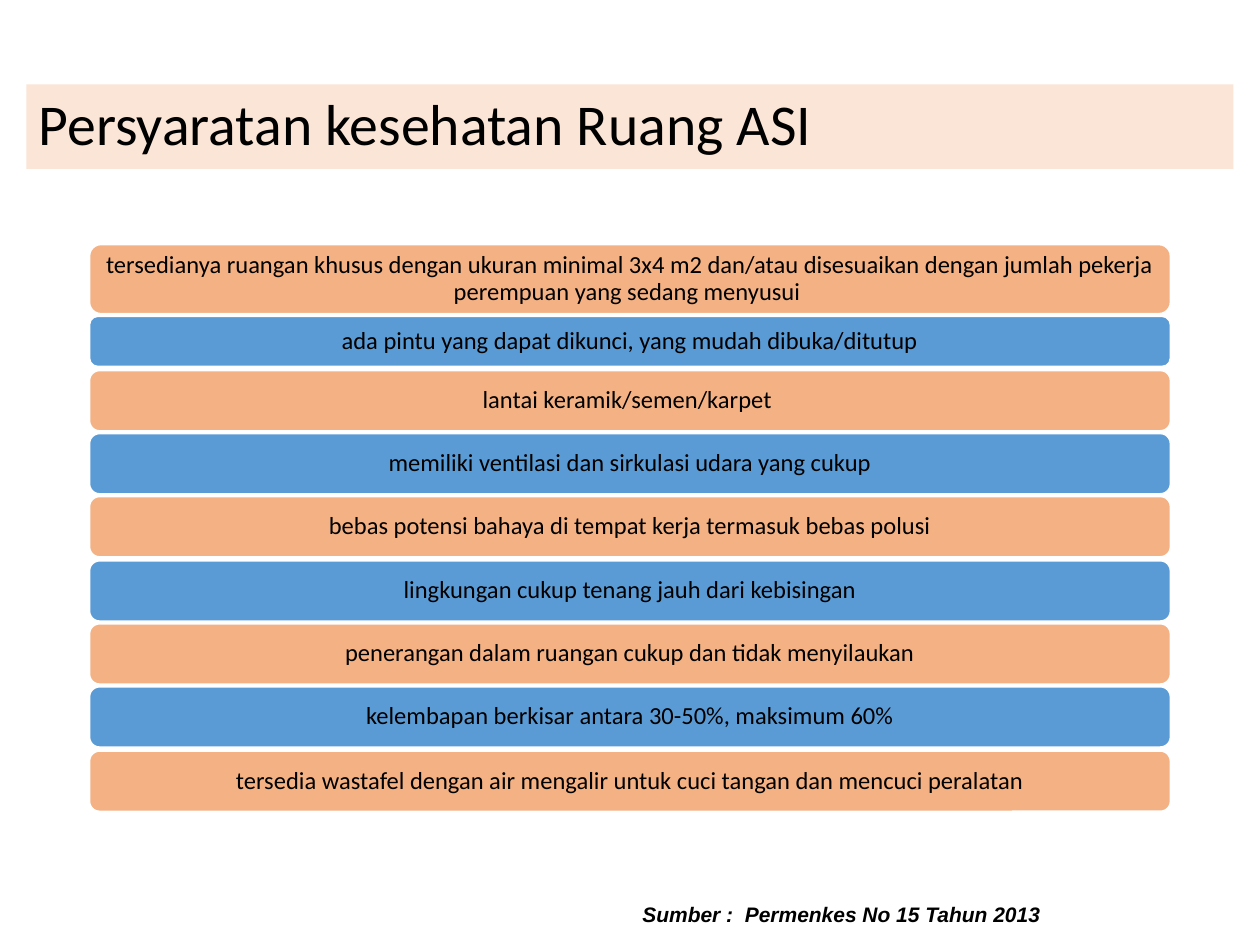
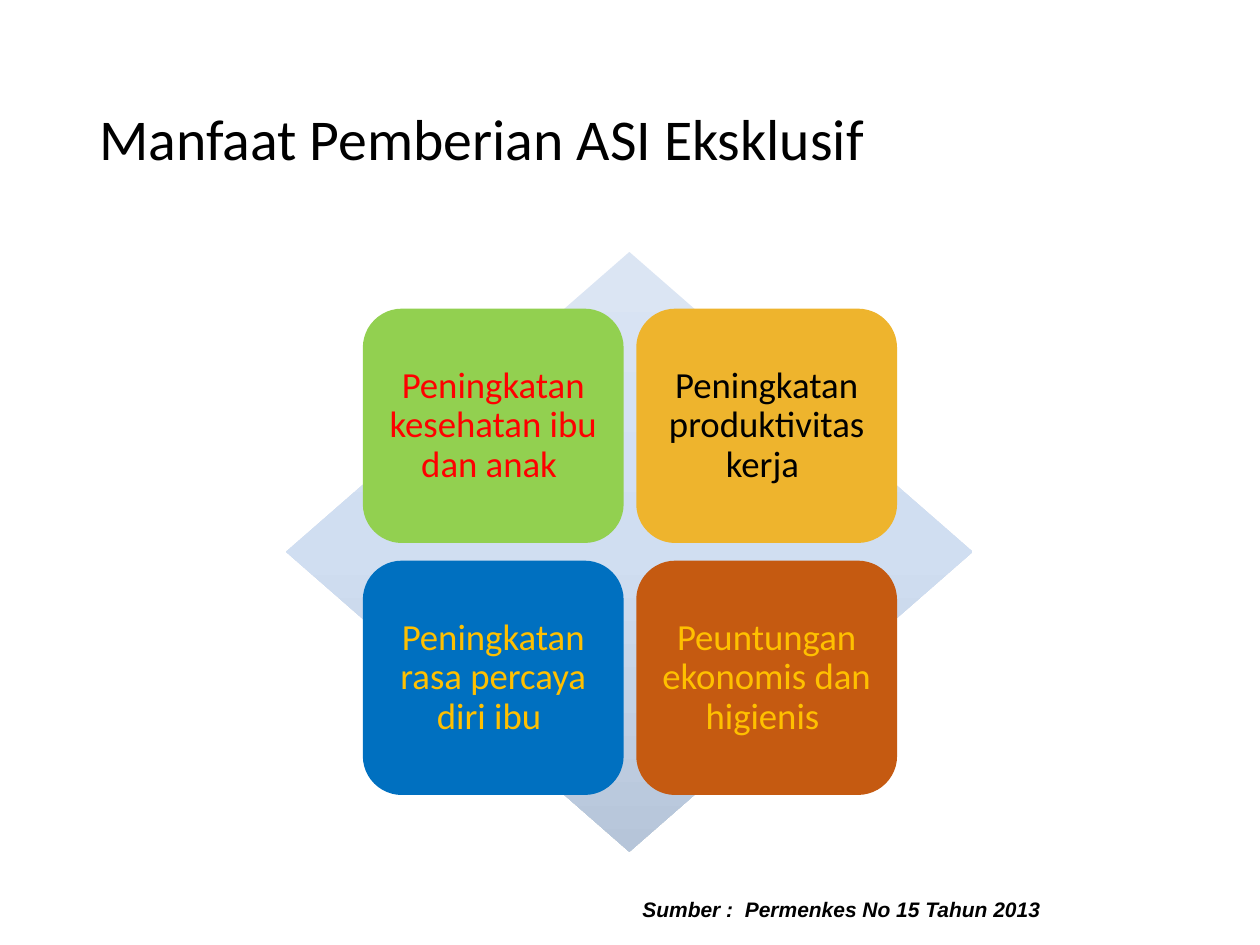
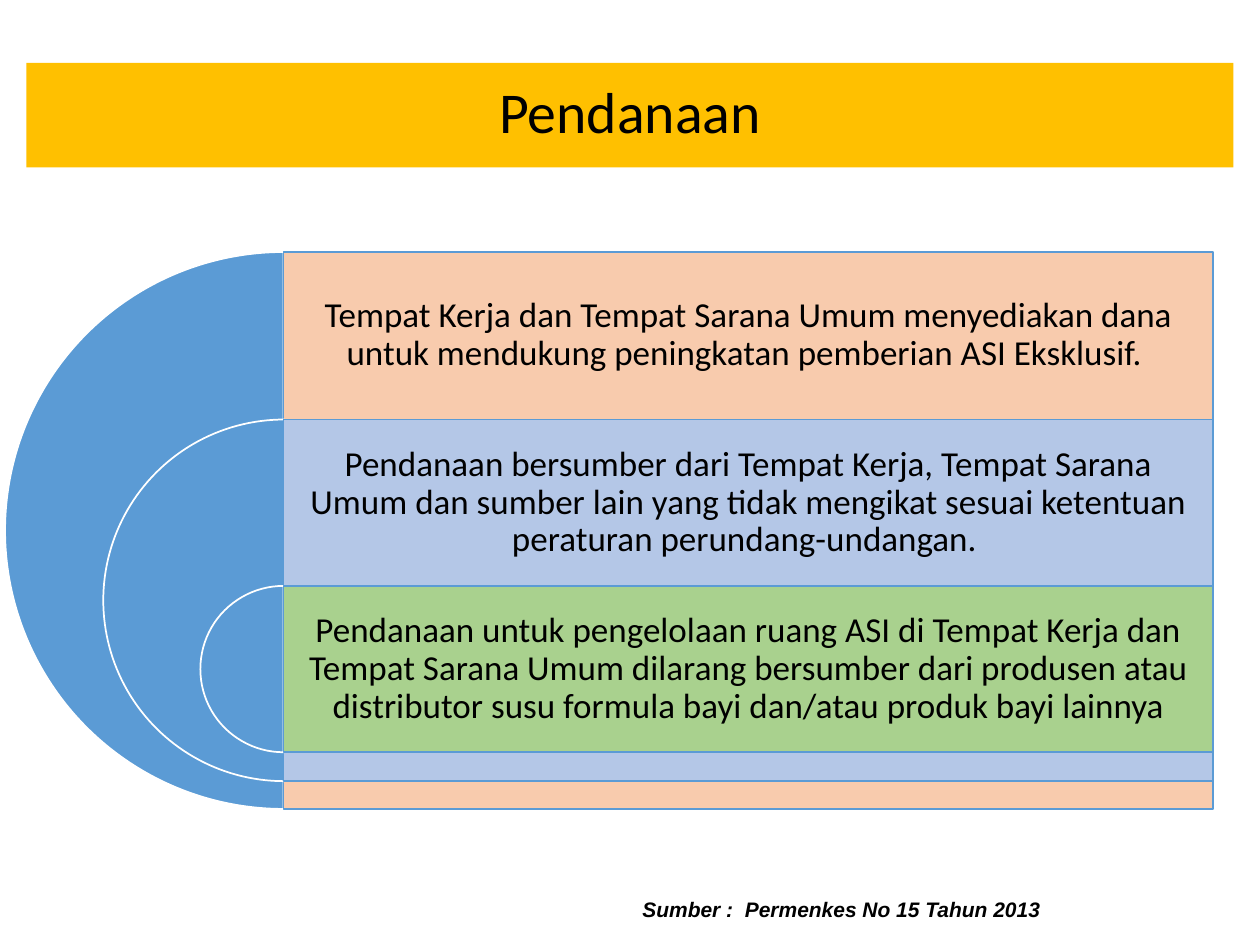
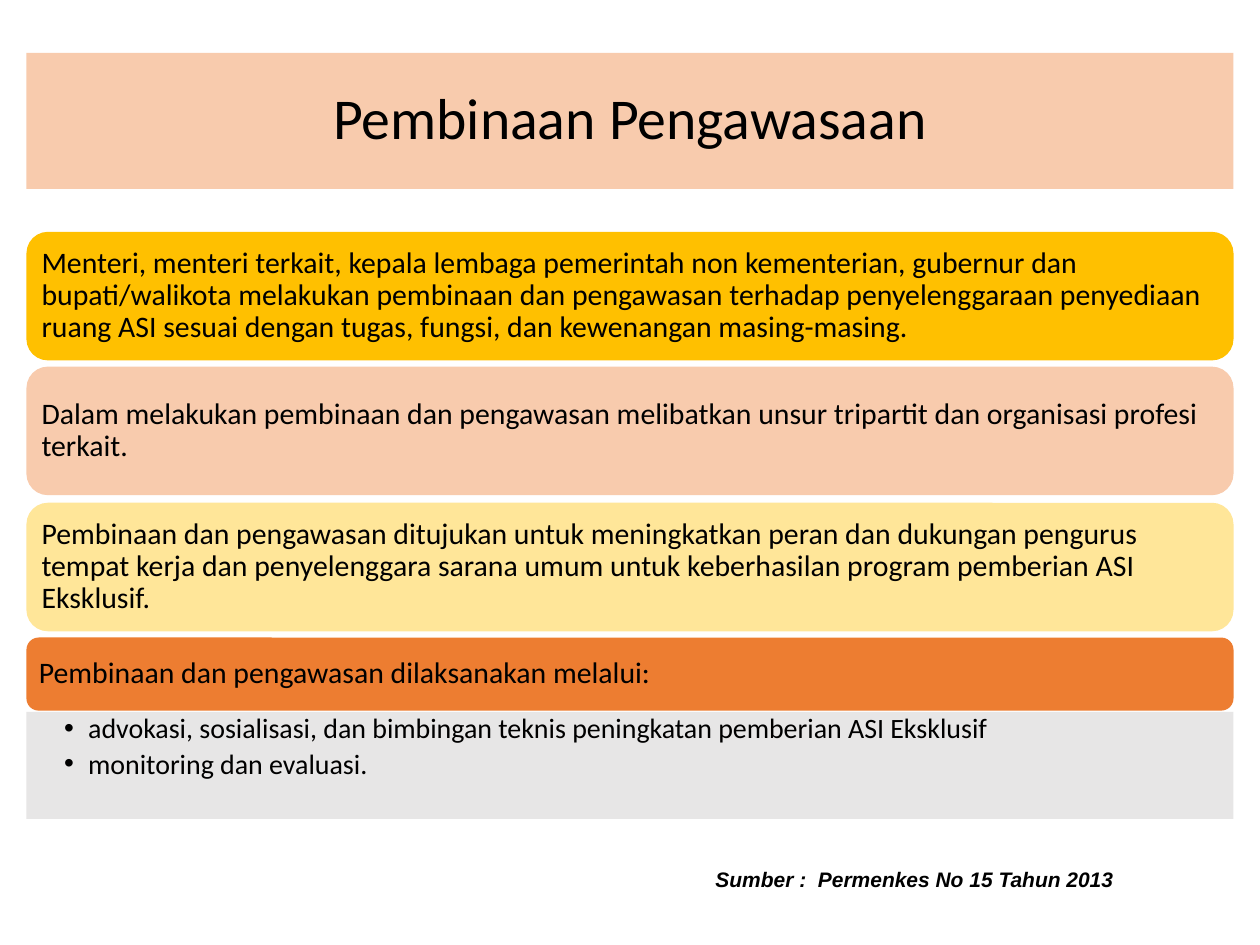
from copy import deepcopy

from lxml.etree import SubElement
from pptx import Presentation
from pptx.dml.color import RGBColor
from pptx.enum.shapes import MSO_SHAPE
from pptx.enum.text import MSO_ANCHOR, MSO_AUTO_SIZE, PP_ALIGN
from pptx.oxml.ns import qn
from pptx.util import Pt

PX = 9144
BLACK, WHITE = "000000", "FFFFFF"
BLUE, ORANGE, PEACH, GOLD = "5B9BD5", "F4B183", "F8CBAD", "FFC000"
SIDES = ("left", "top", "right", "bottom")
TITLE = {"name": "Calibri", "size": Pt(33)}
SOURCE = {"name": "Arial", "size": Pt(12), "bold": True, "italic": True}


def colour(value):
    return RGBColor.from_string(value)


def block(slide, preset, place, fill=None, line=None, paragraphs=(), font=None,
          ink=BLACK, align=PP_ALIGN.LEFT, insets=(10, 5, 10, 5),
          anchor=MSO_ANCHOR.MIDDLE, spacing=0.9):
    place = [length * PX for length in place]
    if preset is None:
        shape = slide.shapes.add_textbox(*place)
    else:
        shape = slide.shapes.add_shape(preset, *place)
        shape.shadow.inherit = False
    if fill:
        shape.fill.solid()
        shape.fill.fore_color.rgb = colour(fill)
    if line:
        shape.line.color.rgb = colour(line)
        shape.line.width = Pt(1)
    else:
        shape.line.fill.background()
    frame = shape.text_frame
    frame.word_wrap = True
    frame.vertical_anchor = anchor
    for side, inset in zip(SIDES, insets):
        setattr(frame, f"margin_{side}", inset * PX)
    for index, words in enumerate(paragraphs):
        paragraph = frame.add_paragraph() if index else frame.paragraphs[0]
        paragraph.alignment = align
        paragraph.line_spacing = spacing
        run = paragraph.add_run()
        run.text = words
        run.font.color.rgb = colour(ink)
        for attribute, value in font.items():
            setattr(run.font, attribute, value)
    return shape


deck = Presentation()
deck.slide_width, deck.slide_height = 1000 * PX, 750 * PX

headings = [
    ("Persyaratan kesehatan Ruang ASI", (21, 67, 958, 67), "FBE5D6",
     PP_ALIGN.LEFT, (500, 711, 483, 30)),
    ("Manfaat Pemberian ASI Eksklusif", (69, 40, 862, 145), None,
     PP_ALIGN.LEFT, (500, 707, 483, 30)),
    ("Pendanaan", (21, 50, 958, 83), GOLD,
     PP_ALIGN.CENTER, (500, 707, 483, 30)),
    ("Pembinaan Pengawasaan", (21, 42, 958, 108), PEACH,
     PP_ALIGN.CENTER, (558, 683, 421, 30)),
]
slides = []
for title, band, fill, align, source_place in headings:
    slide = deck.slides.add_slide(deck.slide_layouts[6])
    block(slide, MSO_SHAPE.RECTANGLE if fill else None, band, fill,
          paragraphs=[title], font=TITLE, align=align)
    source = block(slide, None, source_place, font=SOURCE, spacing=1.0,
                   paragraphs=["Sumber :  Permenkes No 15 Tahun 2013"],
                   anchor=MSO_ANCHOR.TOP)
    source.text_frame.auto_size = MSO_AUTO_SIZE.SHAPE_TO_FIT_TEXT
    slides.append(slide)
room, benefits, funding, oversight = slides

requirements = [
    "tersedianya ruangan khusus dengan ukuran minimal 3x4 m2 dan/atau disesuaikan "
    "dengan jumlah pekerja perempuan yang sedang menyusui ",
    "ada pintu yang dapat dikunci, yang mudah dibuka/ditutup",
    "lantai keramik/semen/karpet ",
    "memiliki ventilasi dan sirkulasi udara yang cukup",
    "bebas potensi bahaya di tempat kerja termasuk bebas polusi",
    "lingkungan cukup tenang jauh dari kebisingan",
    "penerangan dalam ruangan cukup dan tidak menyilaukan",
    "kelembapan berkisar antara 30-50%, maksimum 60%",
    "tersedia wastafel dengan air mengalir untuk cuci tangan dan mencuci peralatan",
]
bars = [(194, 55), (251, 40)] + [(294 + 302 * step // 6, 48) for step in range(7)]
for index, (requirement, (top, height)) in enumerate(zip(requirements, bars)):
    block(room, MSO_SHAPE.ROUNDED_RECTANGLE, (71, top, 858, height),
          (ORANGE, BLUE)[index % 2], WHITE, [requirement],
          {"name": "Calibri", "size": Pt(14)}, align=PP_ALIGN.CENTER,
          insets=(6, 3, 6, 3))

diamond = block(benefits, MSO_SHAPE.DIAMOND, (227, 200, 545, 476))
diamond.fill.gradient()
diamond.fill.gradient_angle = 270
stop_list = diamond._element.spPr.find(qn("a:gradFill")).find(qn("a:gsLst"))
stop_list.insert(1, deepcopy(stop_list[0]))
shades = [(0, "DBE5F3"), (0.5, "D0DEF1"), (1, "B6C5D9")]
for stop, (position, shade) in zip(diamond.fill.gradient_stops, shades):
    stop.position = position
    stop.color.rgb = colour(shade)

gains = [
    ("Peningkatan kesehatan ibu dan anak ", "92D050", "FF0000"),
    ("Peningkatan produktivitas kerja ", "EEB42D", BLACK),
    ("Peningkatan rasa percaya diri ibu ", "0070C0", GOLD),
    ("Peuntungan ekonomis dan higienis ", "C55A11", GOLD),
]
for index, (gain, fill, ink) in enumerate(gains):
    row, column = divmod(index, 2)
    block(benefits, MSO_SHAPE.ROUNDED_RECTANGLE,
          (288 + 217 * column, 245 + 200 * row, 207, 186), fill, None, [gain],
          {"name": "Calibri", "size": Pt(21)}, ink, PP_ALIGN.CENTER, (9, 9, 9, 9))

rules = [
    ("Tempat Kerja dan Tempat Sarana Umum menyediakan dana untuk mendukung "
     "peningkatan pemberian ASI Eksklusif. ", 200, 442, PEACH),
    ("Pendanaan bersumber dari Tempat Kerja, Tempat Sarana Umum dan sumber lain "
     "yang tidak mengikat sesuai ketentuan peraturan perundang-undangan. ",
     333, 287, "B4C7E7"),
    ("Pendanaan untuk pengelolaan ruang ASI di Tempat Kerja dan Tempat Sarana Umum "
     "dilarang bersumber dari produsen atau distributor susu formula bayi dan/atau "
     "produk bayi lainnya", 465, 132, "A9D18E"),
]
for rule, top, size, fill in rules:
    half_disc = block(funding, MSO_SHAPE.PIE, (225 - size // 2, top, size, size),
                      BLUE, WHITE)
    half_disc.adjustments[0], half_disc.adjustments[1] = 54, 162
    block(funding, MSO_SHAPE.RECTANGLE, (225, top, 738, size), fill, BLUE, [rule],
          {"name": "Calibri", "size": Pt(20)}, align=PP_ALIGN.CENTER,
          insets=(8, 8, 8, size - 132 + 8))

duties = [
    ("Menteri, menteri terkait, kepala lembaga pemerintah non kementerian, gubernur "
     "dan bupati/walikota melakukan pembinaan dan pengawasan terhadap "
     "penyelenggaraan penyediaan ruang ASI sesuai dengan tugas, fungsi, dan "
     "kewenangan masing-masing.", GOLD, 102),
    ("Dalam melakukan pembinaan dan pengawasan melibatkan unsur tripartit dan "
     "organisasi profesi terkait.", PEACH, 102),
    ("Pembinaan dan pengawasan ditujukan untuk meningkatkan peran dan dukungan "
     "pengurus tempat kerja dan penyelenggara sarana umum untuk keberhasilan "
     "program pemberian ASI Eksklusif.", "FFE699", 102),
    ("Pembinaan dan pengawasan dilaksanakan melalui:", "ED7D31", 58),
]
for index, (duty, fill, height) in enumerate(duties):
    block(oversight, MSO_SHAPE.ROUNDED_RECTANGLE,
          (21, 184 + 215 * index // 2, 958, height), fill, None, [duty],
          {"name": "Calibri", "size": Pt(17)}, insets=(7, 7, 7, 7))

activities = block(
    oversight, MSO_SHAPE.RECTANGLE, (21, 565, 958, 85), "E7E6E6",
    paragraphs=["advokasi, sosialisasi, dan bimbingan teknis peningkatan pemberian "
                "ASI Eksklusif", "monitoring dan evaluasi."],
    font={"name": "Calibri", "size": Pt(16)}, insets=(30, 2, 12, 2),
    anchor=MSO_ANCHOR.TOP)
for activity in activities.text_frame.paragraphs:
    activity.level = 1
    activity.space_after = Pt(3)
    properties = activity._p.get_or_add_pPr()
    properties.set("marL", str(19 * PX))
    properties.set("indent", str(-19 * PX))
    SubElement(properties, qn("a:buFont"), typeface="Arial")
    SubElement(properties, qn("a:buChar"), char="•")

deck.save("out.pptx")
